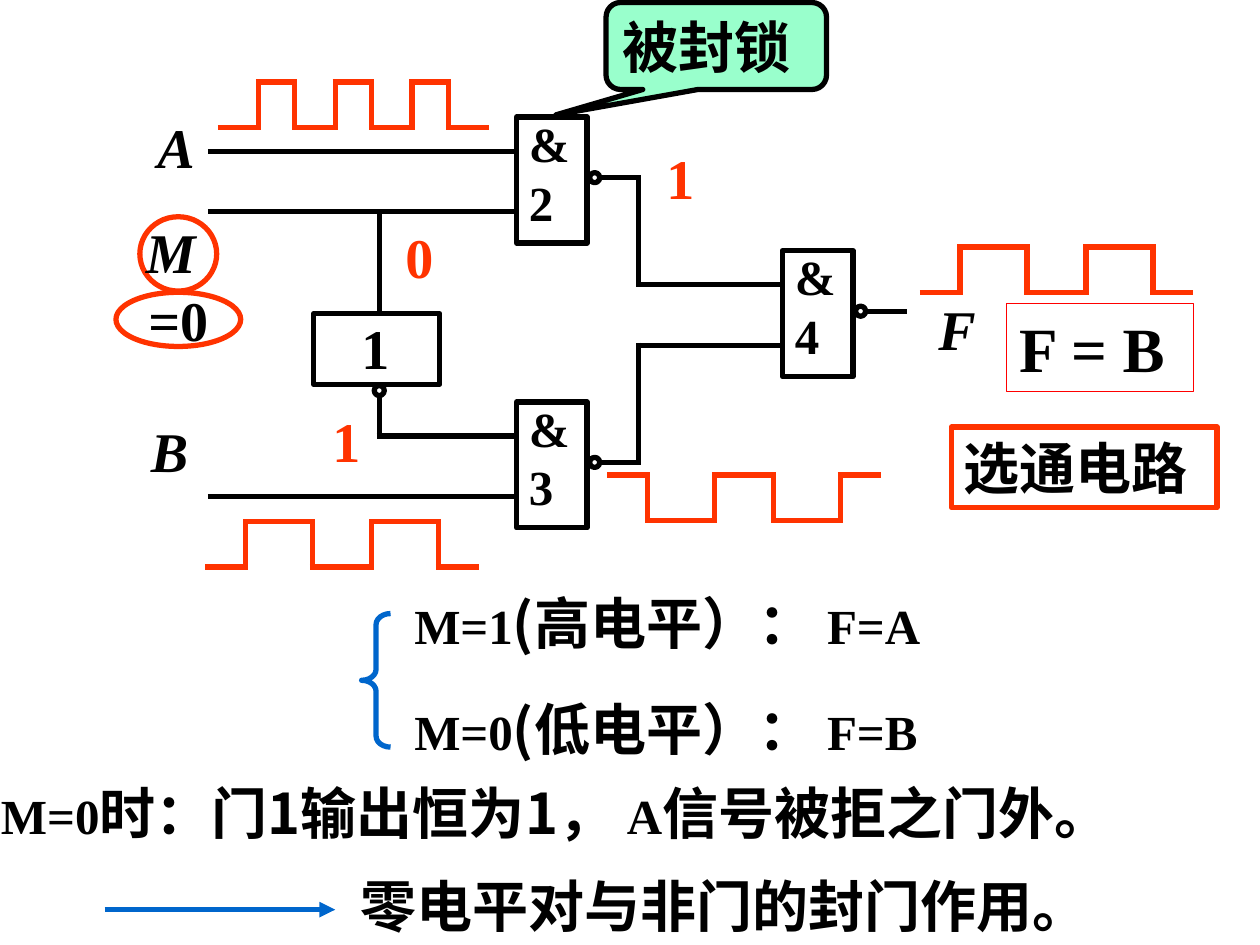
from itertools import pairwise

from lxml import etree
from pptx import Presentation
from pptx.dml.color import RGBColor
from pptx.enum.shapes import MSO_CONNECTOR, MSO_SHAPE
from pptx.enum.text import MSO_ANCHOR, PP_ALIGN
from pptx.oxml.ns import qn
from pptx.util import Inches, Pt

STRAIGHT = MSO_CONNECTOR.STRAIGHT
RECTANGLE = MSO_SHAPE.RECTANGLE
OVAL = MSO_SHAPE.OVAL
CALLOUT = MSO_SHAPE.ROUNDED_RECTANGULAR_CALLOUT
BRACE = MSO_SHAPE.LEFT_BRACE
TOP, MIDDLE = MSO_ANCHOR.TOP, MSO_ANCHOR.MIDDLE
LEFT, CENTER = PP_ALIGN.LEFT, PP_ALIGN.CENTER

SERIF, SANS = "Times New Roman", "Noto Sans CJK SC"
BLACK, RED, BLUE, MINT = "000000", "FF3300", "0066CC", "99FFCC"
LINE_WIDTH = 3
CORNER = 0.02
GATE_WIDTH, GATE_HEIGHT = 0.56, 1
BUBBLE = 0.08
PIN_HIGH, PIN_LOW, PIN_OUT = 0.27, 0.75, 0.48


def color(value):
    """Turn a hex string into a colour."""
    return RGBColor.from_string(value)


def add_line(slide, start, end, line_color=BLACK, arrow=False):
    """Draw a straight line between two points."""
    connector = slide.shapes.add_connector(STRAIGHT, *map(Inches, start + end))
    connector.line.color.rgb = color(line_color)
    connector.line.width = Pt(LINE_WIDTH)
    if arrow:
        line = connector.line._get_or_add_ln()
        etree.SubElement(line, qn("a:tailEnd"), type="triangle")
    etree.SubElement(connector._element.spPr, qn("a:effectLst"))


def add_path(slide, points, line_color=BLACK):
    """Join points by straight lines that overlap at the corners."""
    for start, end in pairwise(points):
        (x1, y1), (x2, y2) = sorted((start, end))
        across, down = (CORNER, 0) if y1 == y2 else (0, CORNER)
        add_line(slide, (x1 - across, y1 - down), (x2 + across, y2 + down), line_color)


def add_wave(slide, left, rest, pulse_level, pulse, gap, count, lead=0.3):
    """Draw a square wave with a number of equal pulses."""
    points, x = [(left, rest)], left + lead
    for _ in range(count):
        points += [(x, rest), (x, pulse_level),
                   (x + pulse, pulse_level), (x + pulse, rest)]
        x += pulse + gap
    points.append((x - gap + lead, rest))
    add_path(slide, points, RED)


def add_outline(slide, kind, box, line_color=BLACK, fill=None, width=LINE_WIDTH):
    """Draw an outlined preset shape."""
    shape = slide.shapes.add_shape(kind, *map(Inches, box))
    shape.shadow.inherit = False
    if fill:
        shape.fill.solid()
        shape.fill.fore_color.rgb = color(fill)
    else:
        shape.fill.background()
    shape.line.color.rgb = color(line_color)
    shape.line.width = Pt(width)
    return shape


def write(shape, runs, text_color=BLACK, italic=False, anchor=TOP, align=LEFT, wrap=True):
    """Write bold runs of text, size and font into a shape."""
    frame = shape.text_frame
    frame.word_wrap = wrap
    frame.vertical_anchor = anchor
    paragraph = frame.paragraphs[0]
    paragraph.alignment = align
    for text, size, font_name in runs:
        run = paragraph.add_run()
        run.text = text
        font = run.font
        font.size, font.name = Pt(size), font_name
        font.bold, font.italic = True, italic
        font.color.rgb = color(text_color)
        east_asian = etree.Element(qn("a:ea"), typeface=SANS)
        run._r.rPr.find(qn("a:latin")).addnext(east_asian)


def add_text(slide, box, runs, **options):
    """Add a text box with its runs."""
    write(slide.shapes.add_textbox(*map(Inches, box)), runs, **options)


def add_bubble(slide, left, top):
    """Draw the small circle that marks an inverted output."""
    add_outline(slide, OVAL, (left, top, BUBBLE, BUBBLE))


def add_gate(slide, left, top, number):
    """Draw a numbered NAND gate."""
    add_outline(slide, RECTANGLE, (left, top, GATE_WIDTH, GATE_HEIGHT))
    add_text(slide, (left, top - 0.08, 0.67, 1.04), [(f"&{number}", 28, SERIF)])
    add_bubble(slide, left + 0.58, top + PIN_OUT - BUBBLE / 2)


def add_circuit(slide):
    """Draw the gates, wires and signal names."""
    gate_left, last_left = 4.1, 6.21
    upper, lower, last = 0.93, 3.19, 1.99
    tap, bend, start = 3.01, 5.07, 1.67
    for left, top, number in ((gate_left, upper, 2), (gate_left, lower, 3),
                              (last_left, last, 4)):
        add_gate(slide, left, top, number)
    add_outline(slide, RECTANGLE, (2.49, 2.49, GATE_HEIGHT, GATE_WIDTH))
    add_bubble(slide, tap - BUBBLE / 2, 3.06)

    for y in (upper + PIN_HIGH, upper + PIN_LOW, lower + PIN_LOW):
        add_path(slide, [(start, y), (gate_left, y)])
    add_path(slide, [(tap, upper + PIN_LOW), (tap, 2.49)])
    add_path(slide, [(tap, 3.15), (tap, lower + PIN_HIGH), (gate_left, lower + PIN_HIGH)])
    for top, pin in ((upper, PIN_HIGH), (lower, PIN_LOW)):
        add_path(slide, [(gate_left + 0.67, top + PIN_OUT), (bend, top + PIN_OUT),
                         (bend, last + pin), (last_left, last + pin)])
    add_path(slide, [(last_left + 0.67, last + PIN_OUT), (7.18, last + PIN_OUT)])

    for name, left, top in (("A", 1.15, 0.84), ("M", 1.06, 1.68),
                            ("B", 1.1, 3.26), ("F", 7.35, 2.29)):
        add_text(slide, (left, top, 0.7, 0.64), [(name, 32, SERIF)], italic=True)
    add_text(slide, (2.77, 2.44, 0.85, 0.64), [("1", 32, SERIF)])


def add_signals(slide):
    """Draw the waveforms and the logic levels."""
    add_wave(slide, 1.75, 1.01, 0.65, 0.29, 0.32, 3)
    for left, rest, level in ((1.65, 4.5, 4.14), (4.84, 3.77, 4.13), (7.32, 2.32, 1.96)):
        add_wave(slide, left, rest, level, 0.53, 0.47, 2)
    for level, left, top in (("1", 2.54, 3.18), ("0", 3.12, 1.72), ("1", 5.19, 1.09)):
        add_text(slide, (left, top, 0.54, 0.64), [(level, 32, SERIF)], text_color=RED)
    add_outline(slide, OVAL, (1.11, 1.72, 0.61, 0.59), RED)
    value = add_outline(slide, OVAL, (0.92, 2.32, 0.99, 0.43), RED)
    write(value, [("=0", 32, SERIF)], anchor=MIDDLE, align=CENTER, wrap=False)


def add_notes_on_circuit(slide):
    """Add the callout and the boxed results."""
    callout = add_outline(slide, CALLOUT, (4.81, 0.02, 1.75, 0.69), fill=MINT)
    for index, value in enumerate((-0.727, 0.792, 0.167)):
        callout.adjustments[index] = value
    write(callout, [("被封锁", 32, SERIF)], anchor=MIDDLE)
    circuit_name = add_outline(slide, RECTANGLE, (7.55, 3.39, 2.11, 0.64), RED)
    write(circuit_name, [("选通电路", 32, SERIF)])
    result = add_outline(slide, RECTANGLE, (7.99, 2.41, 1.48, 0.7), "FF0000", width=0.75)
    write(result, [("F = B", 36, SERIF)])


def add_conclusions(slide):
    """Add the two cases and the closing statements."""
    brace = add_outline(slide, BRACE, (2.87, 4.87, 0.23, 1.06), BLUE)
    brace.adjustments[0] = 0.38
    for top, mode, level, output in ((4.62, "M=1", "高", "F=A"), (5.46, "M=0", "低", "F=B")):
        add_text(slide, (3.19, top, 4.57, 1.1),
                 [(mode, 28, SERIF), (f"({level}电平）： ", 32, SANS), (output, 28, SERIF)])
    add_text(slide, (-0.09, 6.13, 9.77, 0.64),
             [("M=0", 28, SERIF), ("时：门1输出恒为1， ", 32, SANS),
              ("A", 28, SERIF), ("信号被拒之门外。", 32, SERIF)], wrap=False)
    add_line(slide, (0.83, 7.22), (2.66, 7.22), BLUE, arrow=True)
    add_text(slide, (2.76, 6.87, 6.66, 0.64), [("零电平对与非门的封门作用。", 32, SANS)])


def main():
    """Build the gating circuit slide."""
    presentation = Presentation()
    presentation.slide_width, presentation.slide_height = Inches(10), Inches(7.5)
    slide = presentation.slides.add_slide(presentation.slide_layouts[6])
    add_signals(slide)
    add_notes_on_circuit(slide)
    add_conclusions(slide)
    add_circuit(slide)
    presentation.save("out.pptx")


if __name__ == "__main__":
    main()
